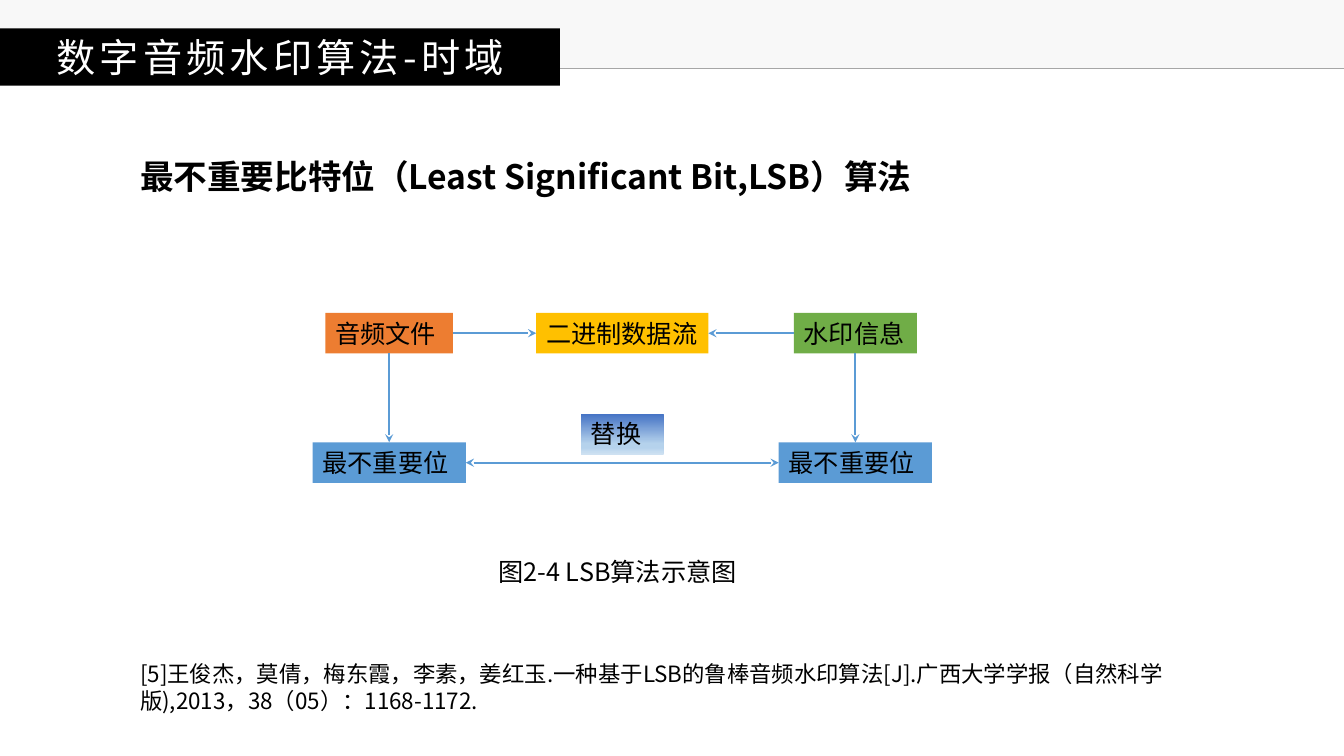
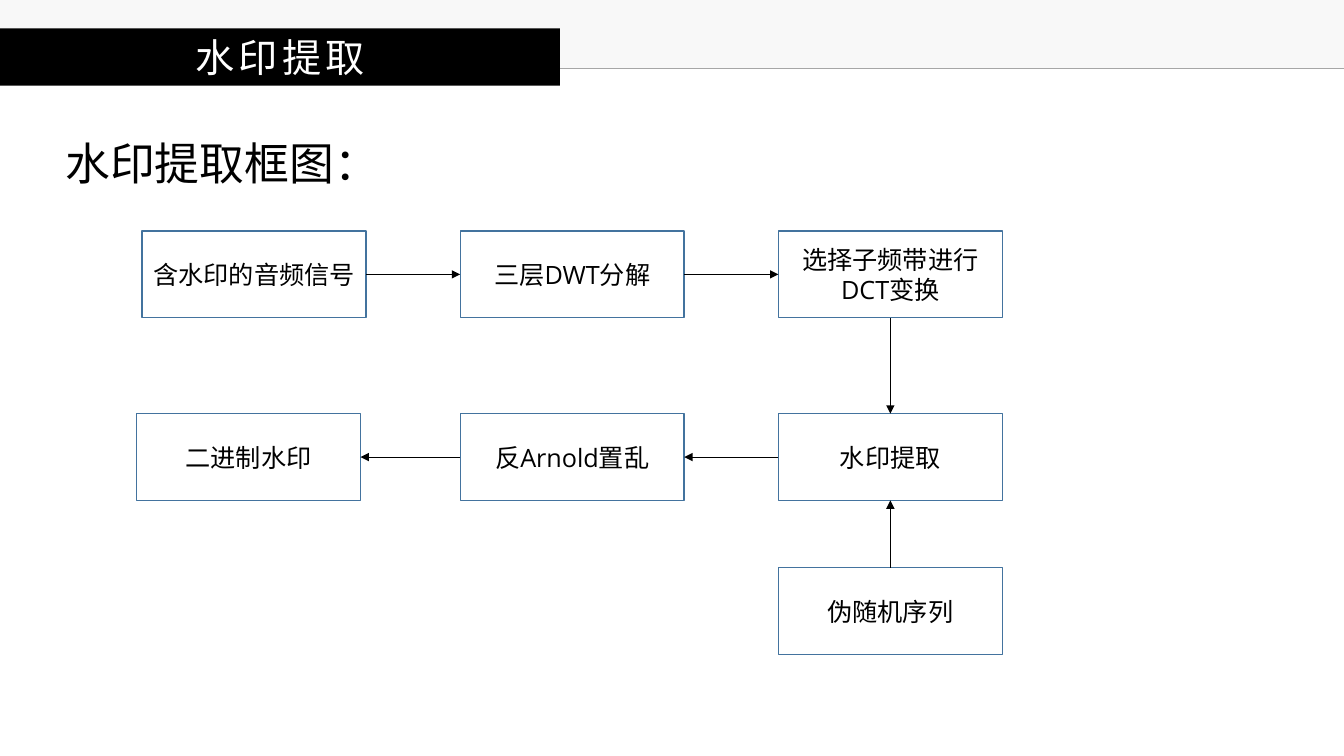
from dataclasses import dataclass

from lxml import etree
from pptx import Presentation
from pptx.dml.color import RGBColor
from pptx.enum.shapes import MSO_CONNECTOR, MSO_SHAPE
from pptx.enum.text import MSO_ANCHOR, PP_ALIGN
from pptx.oxml.ns import qn
from pptx.util import Pt

RECTANGLE = MSO_SHAPE.RECTANGLE
STRAIGHT = MSO_CONNECTOR.STRAIGHT
LEFT, CENTER = PP_ALIGN.LEFT, PP_ALIGN.CENTER
TOP, MIDDLE = MSO_ANCHOR.TOP, MSO_ANCHOR.MIDDLE
SITE_TOP, SITE_LEFT, SITE_BOTTOM, SITE_RIGHT = range(4)


@dataclass(frozen=True)
class Theme:
    text: str = "000000"
    white: str = "FFFFFF"
    header: str = "F2F2F2"
    header_rule: str = "A6A6A6"
    band: str = "000000"
    orange: str = "ED7D31"
    yellow: str = "FFC000"
    green: str = "70AD47"
    blue: str = "5B9BD5"
    outline: str = "43739E"
    swap_stops: tuple = ((0, "4472C4"), (74, "B5D2EC"), (83, "B5D2EC"), (100, "CEE1F2"))
    cjk_font: str = "Noto Sans CJK SC"
    label_font: str = "Open Sans"
    large: int = 32
    title: int = 28
    heading: int = 24
    body: int = 18
    reference: int = 16


THEME = Theme()
SLIDE_WIDTH, SLIDE_HEIGHT = 960, 540


def write_text(shape, text, size=THEME.body, font=THEME.cjk_font, color=THEME.text,
               bold=False, align=LEFT, anchor=TOP, spacing=0):
    frame = shape.text_frame
    frame.word_wrap = True
    frame.vertical_anchor = anchor
    paragraph = frame.paragraphs[0]
    paragraph.alignment = align
    run = paragraph.add_run()
    run.text = text
    run.font.size = Pt(size)
    run.font.bold = bold
    run.font.color.rgb = RGBColor.from_string(color)
    run.font.name = font
    properties = run._r.get_or_add_rPr()
    etree.SubElement(properties, qn("a:ea"), typeface=THEME.cjk_font)
    if spacing:
        properties.set("spc", str(spacing * 100))


def add_text(slide, box, text, **text_format):
    shape = slide.shapes.add_textbox(*map(Pt, box))
    write_text(shape, text, **text_format)


def add_box(slide, box, fill, outline=None):
    shape = slide.shapes.add_shape(RECTANGLE, *map(Pt, box))
    shape.shadow.inherit = False
    shape.fill.solid()
    shape.fill.fore_color.rgb = RGBColor.from_string(fill)
    if outline:
        shape.line.color.rgb = RGBColor.from_string(outline)
        shape.line.width = Pt(1)
    else:
        shape.line.fill.background()
    return shape


def add_line(slide, start, end, color, width):
    line = slide.shapes.add_connector(STRAIGHT, *map(Pt, (*start, *end)))
    line.line.color.rgb = RGBColor.from_string(color)
    line.line.width = Pt(width)
    etree.SubElement(line._element.spPr, qn("a:effectLst"))
    return line


def add_arrow(slide, source, source_site, target, target_site, color, width, tip, both=False):
    arrow = add_line(slide, (0, 0), (0, 0), color, width)
    arrow.begin_connect(source, source_site)
    arrow.end_connect(target, target_site)
    outline = arrow.line._get_or_add_ln()
    for end in ("a:headEnd", "a:tailEnd") if both else ("a:tailEnd",):
        etree.SubElement(outline, qn(end), type=tip)


def set_gradient(shape, stops):
    shape.fill.gradient()
    shape.fill.gradient_angle = 270
    stop_list = shape._element.spPr.find(qn("a:gradFill")).find(qn("a:gsLst"))
    for old_stop in list(stop_list):
        stop_list.remove(old_stop)
    for position, color in stops:
        stop = etree.SubElement(stop_list, qn("a:gs"), pos=str(position * 1000))
        etree.SubElement(stop, qn("a:srgbClr"), val=color)


def add_header(slide, title):
    height = 49
    strip = add_box(slide, (0, 0, SLIDE_WIDTH, height), THEME.header)
    strip_color = next(strip._element.spPr.iter(qn("a:srgbClr")))
    etree.SubElement(strip_color, qn("a:alpha"), val="50000")
    add_line(slide, (0, height), (SLIDE_WIDTH, height), THEME.header_rule, 0.5)
    band = add_box(slide, (0, 20.3, 400, 41), THEME.band)
    write_text(band, title, size=THEME.title, color=THEME.white, align=CENTER, spacing=3)


def add_replacement_diagram(slide, box):
    left, top, width, height = box
    label_height = 29
    column_inset = 55
    first, middle, last = left + column_inset, left + width / 2, left + width - column_inset
    bottom = top + height - label_height

    def add_label(text, center, label_top, label_width, fill):
        label_box = (center - label_width / 2, label_top, label_width, label_height)
        label = add_box(slide, label_box, fill)
        write_text(label, text, font=THEME.label_font)
        return label

    audio = add_label("音频文件", first, top, 91, THEME.orange)
    watermark = add_label("水印信息", last, top, 88, THEME.green)
    stream = add_label("二进制数据流", middle, top, 123, THEME.yellow)
    audio_bit = add_label("最不重要位", first, bottom, 109.5, THEME.blue)
    watermark_bit = add_label("最不重要位", last, bottom, 109.5, THEME.blue)
    swap = add_label("替换", middle, bottom - 20.5, 59, THEME.blue)
    set_gradient(swap, THEME.swap_stops)

    for source, source_site, target, target_site, both in (
        (audio_bit, SITE_RIGHT, watermark_bit, SITE_LEFT, True),
        (audio, SITE_RIGHT, stream, SITE_LEFT, False),
        (watermark, SITE_LEFT, stream, SITE_RIGHT, False),
        (audio, SITE_BOTTOM, audio_bit, SITE_TOP, False),
        (watermark, SITE_BOTTOM, watermark_bit, SITE_TOP, False),
    ):
        add_arrow(slide, source, source_site, target, target_site,
                  THEME.blue, 1.5, "stealth", both)


def add_extraction_diagram(slide, box):
    left, top, width, height = box
    step_width, step_height = 160, 62
    pitch = (width - step_width) / 2
    columns = [left + pitch * index for index in range(3)]
    rows = [top, top + 130.5, top + height - step_height]

    def add_step(text, step_left, step_top):
        step_box = (step_left, step_top, step_width, step_height)
        step = add_box(slide, step_box, THEME.white, THEME.outline)
        write_text(step, text, font=THEME.label_font, align=CENTER, anchor=MIDDLE)
        return step

    signal = add_step("含水印的音频信号", columns[0], rows[0])
    decomposition = add_step("三层DWT分解", columns[1], rows[0])
    transform = add_step("选择子频带进行DCT变换", columns[2], rows[0])
    extraction = add_step("水印提取", columns[2], rows[1])
    unscrambling = add_step("反Arnold置乱", columns[1], rows[1])
    sequence = add_step("伪随机序列", columns[2], rows[2])
    result = add_step("二进制水印", columns[0] - 4, rows[1])

    for source, source_site, target, target_site in (
        (signal, SITE_RIGHT, decomposition, SITE_LEFT),
        (decomposition, SITE_RIGHT, transform, SITE_LEFT),
        (transform, SITE_BOTTOM, extraction, SITE_TOP),
        (sequence, SITE_TOP, extraction, SITE_BOTTOM),
        (extraction, SITE_LEFT, unscrambling, SITE_RIGHT),
        (unscrambling, SITE_LEFT, result, SITE_RIGHT),
    ):
        add_arrow(slide, source, source_site, target, target_site,
                  THEME.text, 0.5, "triangle")


def build_algorithm_slide(slide):
    add_header(slide, "数字音频水印算法-时域")
    add_text(slide, (93, 108, 580, 36), "最不重要比特位（Least Significant Bit,LSB）算法",
             size=THEME.heading, bold=True)
    add_replacement_diagram(slide, (223, 223.5, 443, 121.5))
    add_text(slide, (349, 394, 191, 29), "图2-4 LSB算法示意图")
    add_text(slide, (93, 468, 767.5, 46),
             "[5]王俊杰，莫倩，梅东霞，李素，姜红玉.一种基于LSB的鲁棒音频水印算法[J]."
             "广西大学学报（自然科学版),2013，38（05）：1168-1172.",
             size=THEME.reference)


def build_extraction_slide(slide):
    add_header(slide, "水印提取")
    add_text(slide, (39.6, 93.6, 238, 46), "水印提取框图：", size=THEME.large)
    add_extraction_diagram(slide, (101.5, 165, 614.5, 302.5))


def main():
    presentation = Presentation()
    presentation.slide_width = Pt(SLIDE_WIDTH)
    presentation.slide_height = Pt(SLIDE_HEIGHT)
    blank_layout = presentation.slide_layouts[6]
    for build in (build_algorithm_slide, build_extraction_slide):
        build(presentation.slides.add_slide(blank_layout))
    presentation.save("out.pptx")


if __name__ == "__main__":
    main()
